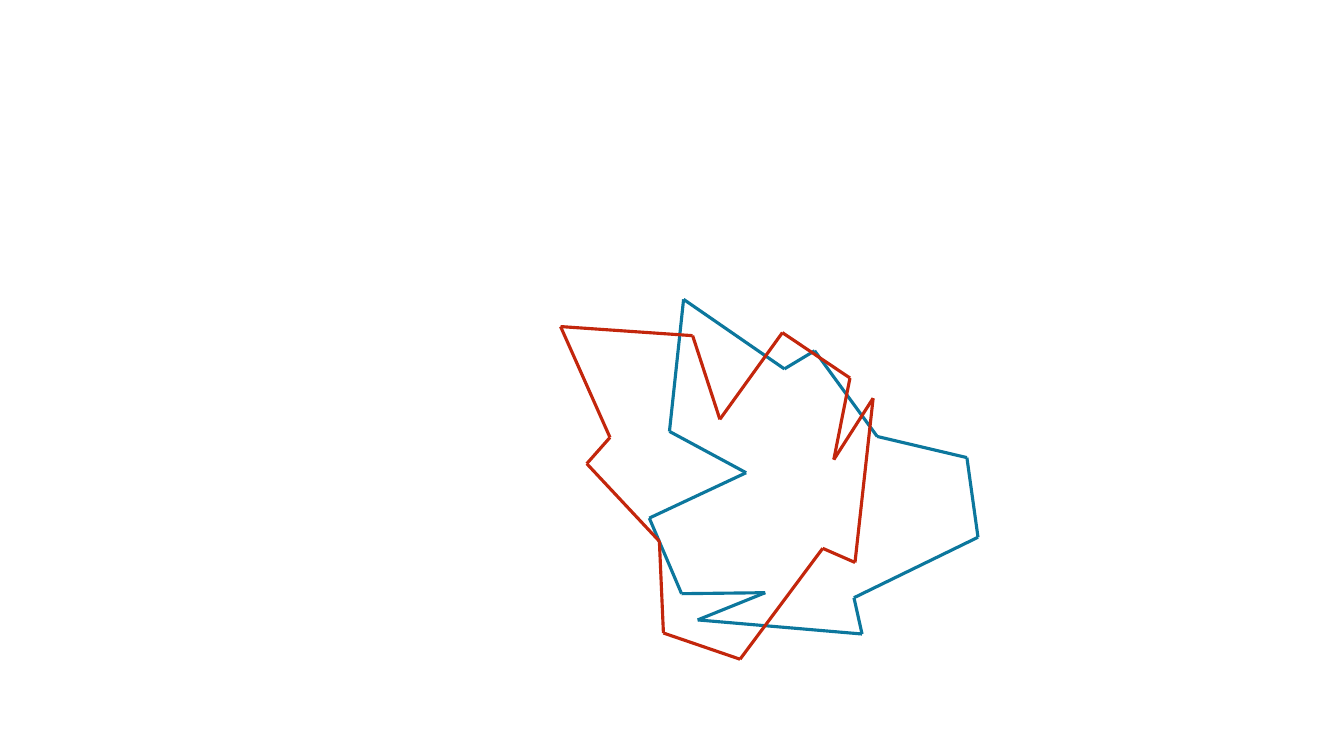
from lxml.etree import SubElement
from pptx import Presentation
from pptx.dml.color import RGBColor
from pptx.enum.shapes import MSO_CONNECTOR
from pptx.oxml.ns import qn
from pptx.util import Pt

PX = 9144  # EMU per px, 100 px to the inch
BLUE = RGBColor(0x0C, 0x77, 0x9D)
RED = RGBColor(0xC3, 0x26, 0x0C)

# Corners of each closed outline, in px
BLUE_RING = [
    (808, 348), (870, 433), (959, 454), (970, 533), (847, 593),
    (855, 629), (692, 615), (759, 588), (676, 589), (644, 514),
    (740, 469), (664, 428), (678, 297), (778, 366),
]
RED_RING = [
    (582, 460), (654, 537), (658, 628), (734, 654), (816, 544),
    (848, 558), (866, 395), (827, 456), (843, 375), (776, 330),
    (714, 416), (687, 333), (556, 324), (605, 434),
]


def add_edge(shapes, start, end, color):
    """Draw one straight side."""
    ends = [v * PX for v in start + end]
    edge = shapes.add_connector(MSO_CONNECTOR.STRAIGHT, *ends)
    edge.line.color.rgb = color
    edge.line.width = Pt(2.25)
    SubElement(edge._element.spPr, qn("a:effectLst"))


def add_ring(slide, ring, color):
    """Join the corners in turn, back to the first, as one group."""
    group = slide.shapes.add_group_shape()
    for start, end in zip(ring, ring[1:] + ring[:1]):
        add_edge(group.shapes, start, end, color)


def main():
    deck = Presentation()
    deck.slide_width = 1333 * PX
    deck.slide_height = 750 * PX
    slide = deck.slides.add_slide(deck.slide_layouts[6])

    # Two overlapping outlines, red in front
    add_ring(slide, BLUE_RING, BLUE)
    add_ring(slide, RED_RING, RED)

    deck.save("out.pptx")


if __name__ == "__main__":
    main()
